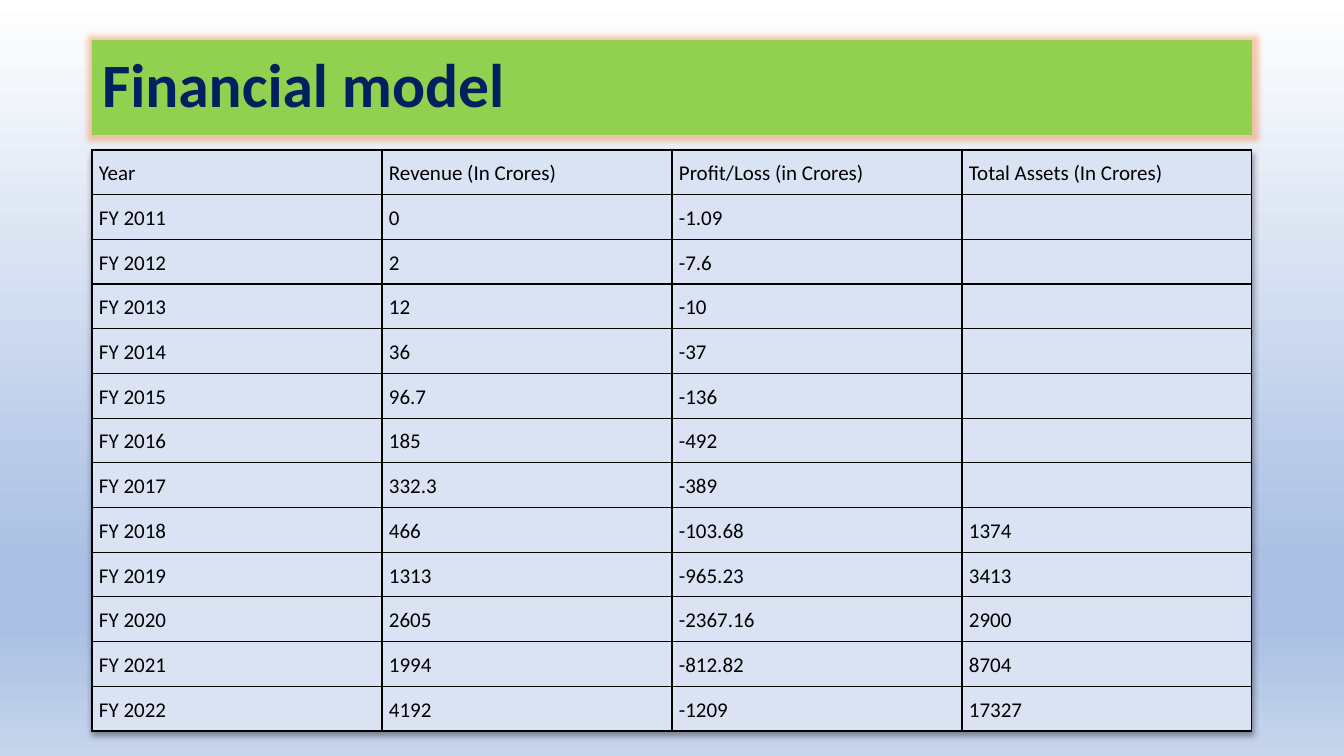
from lxml.etree import SubElement
from pptx import Presentation
from pptx.dml.color import RGBColor
from pptx.enum.text import MSO_ANCHOR, PP_ALIGN
from pptx.oxml import parse_xml
from pptx.oxml.ns import nsdecls, qn
from pptx.util import Pt

PX = 12192000 / 1344
COLORS = {
    "title_fill": "92D050", "title_text": "002060", "glow": "ED7D31",
    "cell": "DAE3F3", "ink": "000000",
}
BACKGROUND = [(0, "FFFFFF"), (74, "ABC0E4"), (83, "ABC0E4"), (100, "C7D5ED")]
ROWS = [
    ("Year", "Revenue (In Crores)", "Profit/Loss (in Crores)", "Total Assets (In Crores)"),
    ("FY 2011", "0", "-1.09", ""),
    ("FY 2012", "2", "-7.6", ""),
    ("FY 2013", "12", "-10", ""),
    ("FY 2014", "36", "-37", ""),
    ("FY 2015", "96.7", "-136", ""),
    ("FY 2016", "185", "-492", ""),
    ("FY 2017", "332.3", "-389", ""),
    ("FY 2018", "466", "-103.68", "1374"),
    ("FY 2019", "1313", "-965.23", "3413"),
    ("FY 2020", "2605", "-2367.16", "2900"),
    ("FY 2021", "1994", "-812.82", "8704"),
    ("FY 2022", "4192", "-1209", "17327"),
]


def px(n):
    return round(n * PX)


def add_run(p, text, color, **font):
    r = p.add_run()
    r.text = text
    r.font.color.rgb = RGBColor.from_string(COLORS[color])
    for name, value in {"name": "Calibri", **font}.items():
        setattr(r.font, name, value)


prs = Presentation()
prs.slide_width, prs.slide_height = px(1344), px(756)
slide = prs.slides.add_slide(prs.slide_layouts[5])

# Background gradient
fill = slide.background.fill
fill.gradient()
fill.gradient_angle = 270
stops = slide.background._cSld.find(".//" + qn("a:gsLst"))
for gs in list(stops):
    stops.remove(gs)
for pos, color in BACKGROUND:
    gs = SubElement(stops, qn("a:gs"), pos=str(pos * 1000))
    SubElement(gs, qn("a:srgbClr"), val=color)

# Title bar with a glow
title = slide.shapes.title
title.left, title.top, title.width, title.height = px(92), px(40), px(1160), px(95)
title.fill.solid()
title.fill.fore_color.rgb = RGBColor.from_string(COLORS["title_fill"])
effects = SubElement(title._element.spPr, qn("a:effectLst"))
glow = SubElement(effects, qn("a:glow"), rad=str(Pt(8)))
glow_color = SubElement(glow, qn("a:srgbClr"), val=COLORS["glow"])
SubElement(glow_color, qn("a:alpha"), val="40000")
tf = title.text_frame
tf.vertical_anchor = MSO_ANCHOR.MIDDLE
p = tf.paragraphs[0]
p.alignment, p.line_spacing = PP_ALIGN.LEFT, 0.9
add_run(p, "Financial model", "title_text", size=Pt(44), bold=True)

# Yearly figures
table = slide.shapes.add_table(
    len(ROWS), len(ROWS[0]), px(92), px(150), px(1160), px(581)).table
table.first_row = table.horz_banding = False
table._tbl.tblPr.insert(0, parse_xml(
    f'<a:effectLst {nsdecls("a")}><a:outerShdw blurRad="{Pt(4)}" dist="{Pt(3)}" '
    f'dir="5400000"><a:srgbClr val="{COLORS["ink"]}"><a:alpha val="40000"/>'
    '</a:srgbClr></a:outerShdw></a:effectLst>'))
cell_format = {"vertical_anchor": MSO_ANCHOR.TOP}
for side in ("left", "right", "top", "bottom"):
    cell_format[f"margin_{side}"] = px(7)

for i, row in enumerate(ROWS):
    for j, text in enumerate(row):
        cell = table.cell(i, j)
        for name, value in cell_format.items():
            setattr(cell, name, value)
        p = cell.text_frame.paragraphs[0]
        p.line_spacing = 1.15
        if text:
            add_run(p, text, "ink", size=Pt(15))
        else:
            SubElement(p._p, qn("a:endParaRPr"), sz="1500")
        tcPr = cell._tc.get_or_add_tcPr()
        for edge in ("lnL", "lnR", "lnT", "lnB"):
            ln = SubElement(tcPr, qn(f"a:{edge}"), w=str(Pt(1)))
            SubElement(SubElement(ln, qn("a:solidFill")), qn("a:srgbClr"), val=COLORS["ink"])
        cell.fill.solid()
        cell.fill.fore_color.rgb = RGBColor.from_string(COLORS["cell"])

prs.save("out.pptx")
